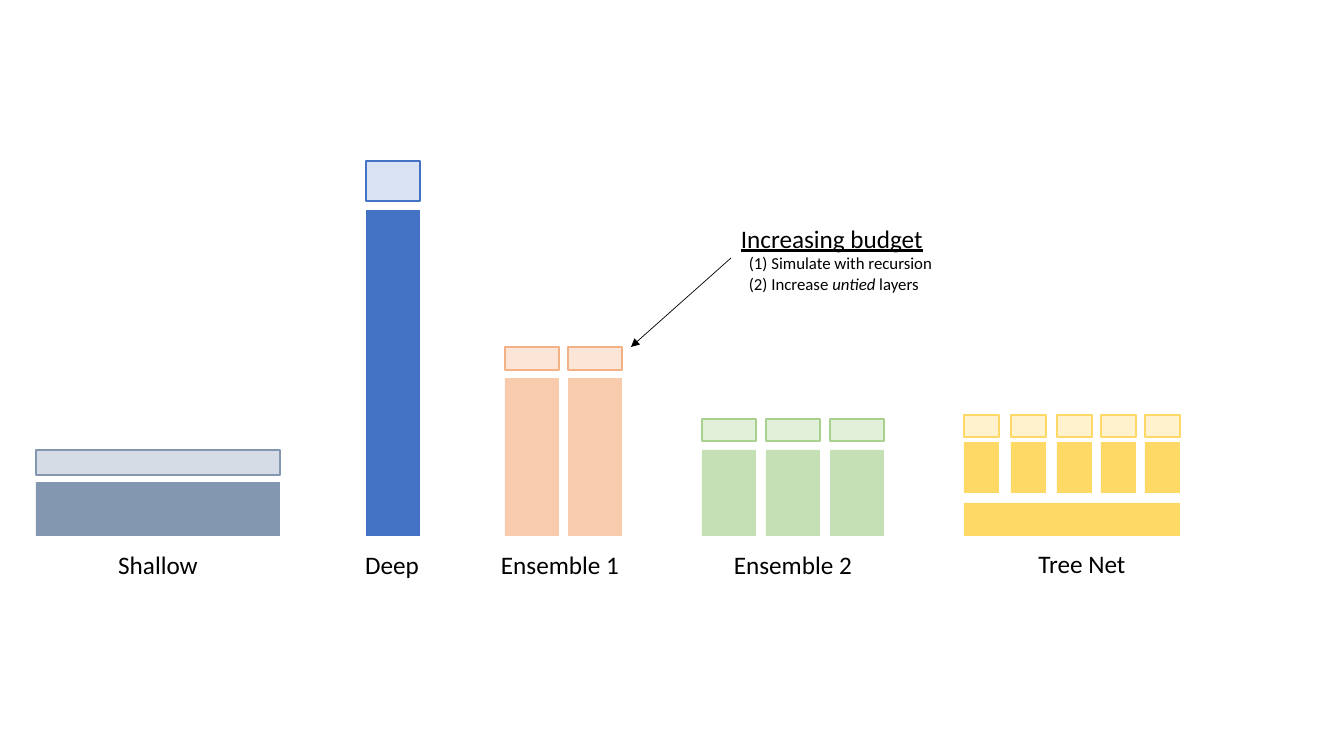
from lxml import etree
from pptx import Presentation
from pptx.dml.color import RGBColor
from pptx.enum.shapes import MSO_CONNECTOR, MSO_SHAPE
from pptx.enum.text import MSO_AUTO_SIZE, PP_ALIGN
from pptx.oxml.ns import qn
from pptx.util import Emu, Pt

RECTANGLE = MSO_SHAPE.RECTANGLE
STRAIGHT = MSO_CONNECTOR.STRAIGHT
CENTER, LEFT = PP_ALIGN.CENTER, PP_ALIGN.LEFT
FIT_SHAPE = MSO_AUTO_SIZE.SHAPE_TO_FIT_TEXT
EMU_PER_PX = 914400 / 100.8
FONT = "Calibri"
BASELINE = 536

# Each network: body fill, budget fill, budget outline
COLORS = {
    "shallow": ("8497B0", "D6DCE5", "8497B0"),
    "deep": ("4472C4", "DAE3F3", "4472C4"),
    "ensemble_1": ("F8CBAD", "FBE5D6", "F4B183"),
    "ensemble_2": ("C5E0B4", "E2F0D9", "A9D18E"),
    "tree": ("FFD966", "FFF2CC", "FFD966"),
    "ink": "000000",
}

# Network: column lefts, column width, body top, body bottom, budget top, height
NETWORKS = {
    "shallow": ([36], 244, 482, BASELINE, 450, 25),
    "deep": ([366], 54, 210, BASELINE, 161, 40),
    "ensemble_1": ([505, 568], 54, 378, BASELINE, 347, 23),
    "ensemble_2": ([702 + 64 * i for i in range(3)], 54, 450, BASELINE, 419, 22),
    "tree": ([964, 1011, 1057, 1101, 1145], 35, 442, 493, 415, 22),
}

# Label: centre, width, top
LABELS = {
    "Shallow": (158, 101, 544),
    "Deep": (392, 75, 544),
    "Ensemble 1": (560, 140, 544),
    "Ensemble 2": (793, 140, 544),
    "Tree Net": (1082, 109, 543),
}


def px(length):
    """Turn pixels into EMU."""
    return Emu(round(length * EMU_PER_PX))


def add_block(slide, left, top, width, height, fill, outline=None):
    """Add a filled rectangle, outlined when a colour is given."""
    block = slide.shapes.add_shape(RECTANGLE, px(left), px(top), px(width), px(height))
    block.shadow.inherit = False
    block.fill.solid()
    block.fill.fore_color.rgb = RGBColor.from_string(fill)
    if outline:
        block.line.color.rgb = RGBColor.from_string(outline)
        block.line.width = Pt(1)
    else:
        block.line.fill.background()


def add_network(slide, name):
    """Add the columns of one network with the extra budget above each."""
    lefts, width, top, bottom, budget_top, budget_height = NETWORKS[name]
    body, budget, outline = COLORS[name]
    for left in lefts:
        add_block(slide, left, top, width, bottom - top, body)
        add_block(slide, left, budget_top, width, budget_height, budget, outline)


def add_text(slide, left, top, width, height, lines, align):
    """Add a text box; each line is (size, indent, [(text, italic), ...])."""
    box = slide.shapes.add_textbox(px(left), px(top), px(width), px(height))
    frame = box.text_frame
    frame.word_wrap = False
    frame.auto_size = FIT_SHAPE
    for number, (size, indent, pieces) in enumerate(lines):
        paragraph = frame.add_paragraph() if number else frame.paragraphs[0]
        paragraph.alignment = align
        paragraph.font.name = FONT
        paragraph.font.size = Pt(size)
        paragraph.font.color.rgb = RGBColor.from_string(COLORS["ink"])
        if indent:
            paragraph._p.get_or_add_pPr().set("marL", str(px(indent)))
        for text, italic in pieces:
            run = paragraph.add_run()
            run.text = text
            if italic:
                run.font.italic = True
    return frame


def add_arrow(slide, start, end):
    """Add a thin line with a triangle head at its end."""
    arrow = slide.shapes.add_connector(STRAIGHT, *map(px, start + end))
    arrow.line.color.rgb = RGBColor.from_string(COLORS["ink"])
    arrow.line.width = Pt(0.5)
    etree.SubElement(arrow.line._get_or_add_ln(), qn("a:tailEnd"), type="triangle")
    etree.SubElement(arrow._element.spPr, qn("a:effectLst"))


def add_budget_note(slide):
    """Add the note on increasing the budget and its arrow."""
    note = add_text(slide, 731, 218, 214, 82, [
        (18, 0, [("Increasing budget", False)]),
        (12, 8, [("(1) Simulate with recursion", False)]),
        (12, 8, [("(2) Increase ", False), ("untied", True), (" layers", False)]),
    ], LEFT)
    note.paragraphs[0].runs[0].font.underline = True
    add_arrow(slide, (731, 258), (631, 347))


def main():
    """Build the slide and save it."""
    deck = Presentation()
    deck.slide_width, deck.slide_height = px(1344), px(756)
    slide = deck.slides.add_slide(deck.slide_layouts[6])
    for name in NETWORKS:
        add_network(slide, name)
    add_block(slide, 964, 503, 216, BASELINE - 503, COLORS["tree"][0])
    for label, (center, width, top) in LABELS.items():
        add_text(slide, center - width / 2, top, width, 40,
                 [(18, 0, [(label, False)])], CENTER)
    add_budget_note(slide)
    deck.save("out.pptx")


main()
